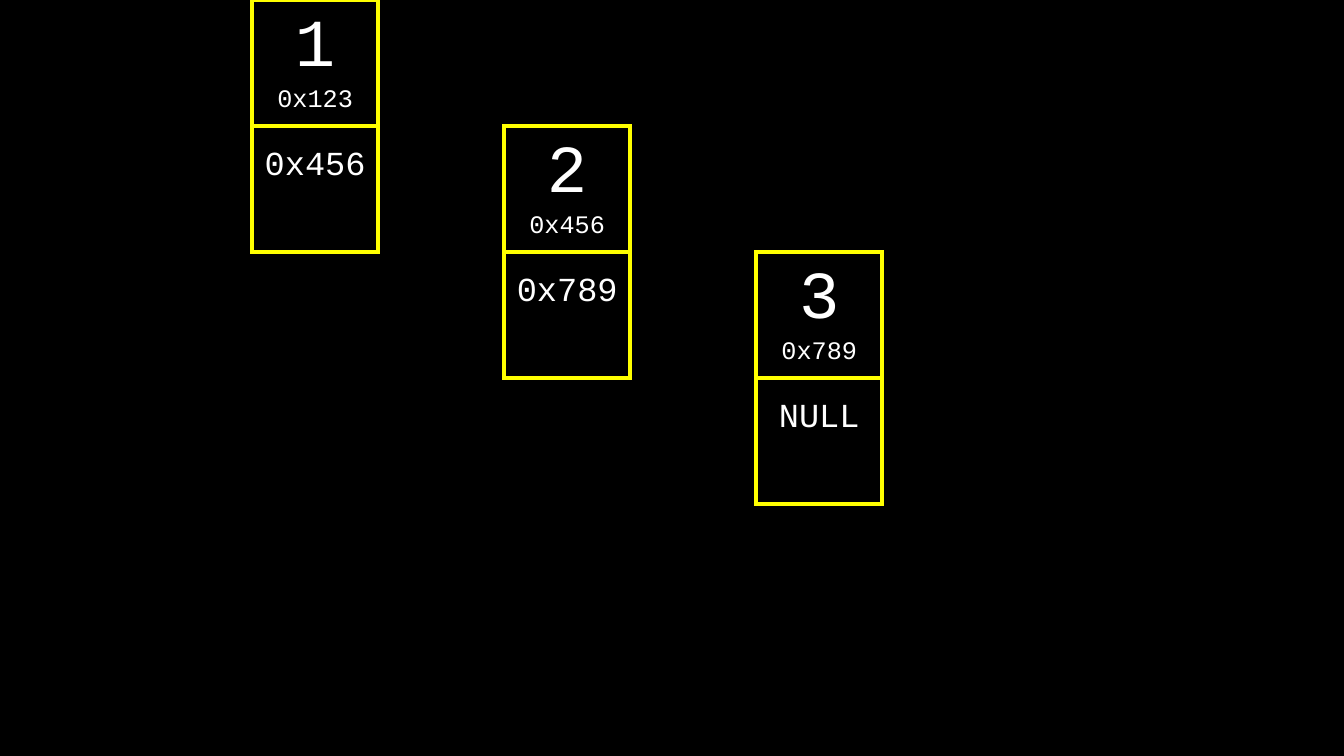
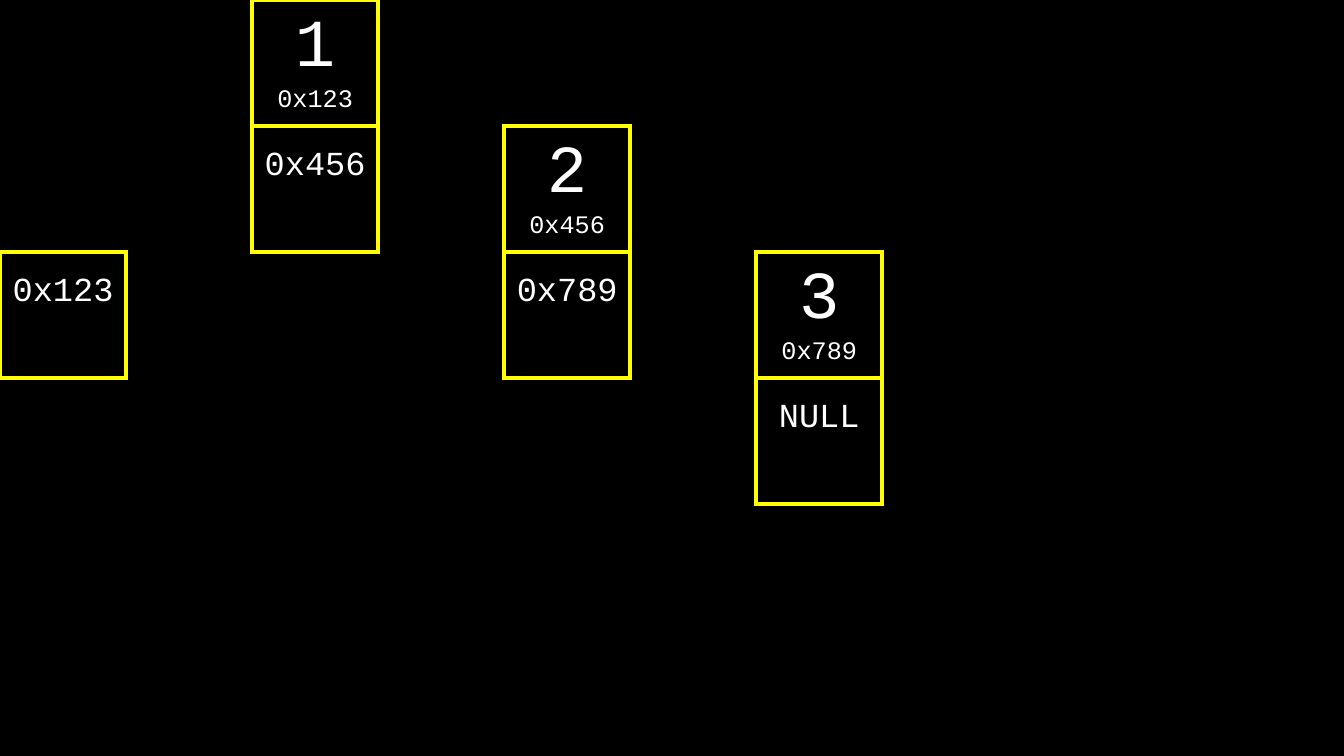
import pptx
import pptx.dml.color
import pptx.enum.text
import pptx.oxml.ns
import pptx.util
from lxml import etree

Inches = pptx.util.Inches
Pt = pptx.util.Pt
RGB = pptx.dml.color.RGBColor
Anchor = pptx.enum.text.MSO_ANCHOR
qn = pptx.oxml.ns.qn

BLACK = RGB(0x00, 0x00, 0x00)
WHITE = RGB(0xFF, 0xFF, 0xFF)
YELLOW = RGB(0xFF, 0xFF, 0x00)
FONT = "Courier New"
PLAIN = "{2D5ABB26-0587-4C30-8999-92F81FD0307C}"  # table style without fill or grid

ROWS, COLS, SIDE = 5, 8, 1.25
PAD = 0.1
LIFT = 0.66  # bottom margin that raises a pointer above the middle
NODES = [("1", "0x123", "0x456"), ("2", "0x456", "0x789"), ("3", "0x789", "NULL")]
HEAD = "0x123"


def frame(cell):
    """Draw a yellow border on all four sides."""
    props = cell._tc.get_or_add_tcPr()
    for side in ("a:lnL", "a:lnR", "a:lnT", "a:lnB"):
        line = etree.SubElement(props, qn(side), w=str(Pt(3)))
        fill = etree.SubElement(line, qn("a:solidFill"))
        etree.SubElement(fill, qn("a:srgbClr"), val=str(YELLOW))


def write(cell, lines, anchor, bottom=PAD):
    """Frame a cell and fill it with centred (text, size) lines."""
    frame(cell)
    cell.vertical_anchor = anchor
    cell.margin_left = cell.margin_right = cell.margin_top = Inches(PAD)
    cell.margin_bottom = Inches(bottom)
    cell.text = "\n".join(text for text, _ in lines)
    for para, (_, size) in zip(cell.text_frame.paragraphs, lines):
        para.alignment = pptx.enum.text.PP_ALIGN.CENTER
        para.font.name = FONT
        para.font.size = Pt(size)
        para.font.color.rgb = WHITE


def point(cell, target):
    write(cell, [(target, 24)], Anchor.BOTTOM, LIFT)


def grid(slide, left, top):
    """Add a bare table of square cells."""
    shape = slide.shapes.add_table(ROWS, COLS, Inches(left), Inches(top),
                                   Inches(COLS * SIDE), Inches(ROWS * SIDE))
    table = shape.table
    table.first_row = table.horz_banding = False
    table._tbl.tblPr.find(qn("a:tableStyleId")).text = PLAIN
    return table


def memory(prs, head=None):
    """Add a slide with the linked list and, if given, its head pointer."""
    slide = prs.slides.add_slide(prs.slide_layouts[6])
    table = grid(slide, 0, 0)
    for row, (value, place, target) in enumerate(NODES):
        col = 2 * row + 2
        write(table.cell(row, col), [(value, 48), (place, 18)], Anchor.MIDDLE)
        point(table.cell(row + 1, col), target)
    if head:
        point(table.cell(2, 0), head)
    for cell in table.iter_cells():
        cell.fill.background()


def main():
    prs = pptx.Presentation()
    prs.slide_width = Inches(13.33)
    prs.slide_height = Inches(7.5)
    back = prs.slide_master.background.fill
    back.solid()
    back.fore_color.rgb = BLACK
    memory(prs)
    memory(prs, HEAD)
    prs.save("out.pptx")


if __name__ == "__main__":
    main()
